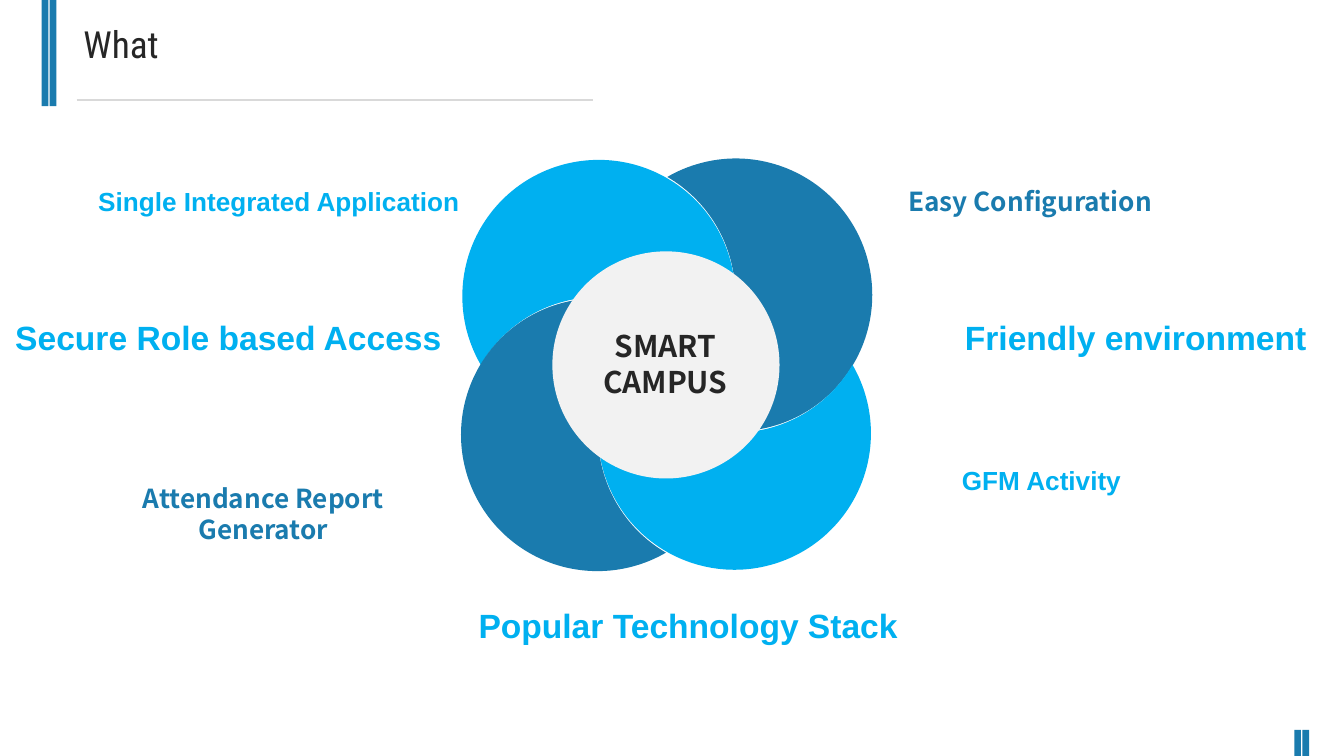
from dataclasses import dataclass
from math import acos, cos, degrees, radians, sin

from lxml.etree import SubElement
from pptx import Presentation
from pptx.dml.color import RGBColor
from pptx.enum.shapes import MSO_CONNECTOR, MSO_SHAPE
from pptx.enum.text import MSO_ANCHOR, PP_ALIGN
from pptx.oxml.ns import qn
from pptx.util import Inches, Pt


@dataclass(frozen=True)
class Theme:
    dark_blue: str = "1A7BAE"
    light_blue: str = "00B0F0"
    ink: str = "262626"
    rule: str = "D9D9D9"
    hub: str = "F2F2F2"
    heading_font: str = "Roboto Condensed"
    label_font: str = "Arial"
    accent_font: str = "Noto Sans CJK SC"
    title_size: int = 20
    large_size: int = 18
    hub_size: int = 16
    label_size: int = 14


THEME = Theme()
COLUMNS, ROWS = 100, 56.25  # square grid cells
CELL = Inches(10) / COLUMNS

TITLE = ("What", (5.2, 1.1, 42.3, 4.4))

SMALL = (THEME.label_font, THEME.label_size, THEME.light_blue)
LARGE = (THEME.label_font, THEME.large_size, THEME.light_blue)
ACCENT = (THEME.accent_font, THEME.label_size, THEME.dark_blue)
HUB = (THEME.accent_font, THEME.hub_size, THEME.ink)

# text, (left, top, width, height) in grid cells, style, alignment, wrap
LABELS = [
    ("SMART CAMPUS", (41.1, 23.9, 16.8, 6.4), HUB, PP_ALIGN.CENTER, True),
    ("Single Integrated Application", (6.2, 13.3, 29.1, 3.4), SMALL, PP_ALIGN.CENTER, True),
    ("Attendance Report Generator", (7.3, 35.4, 24.6, 5.7), ACCENT, PP_ALIGN.CENTER, True),
    ("Easy Configuration", (65.9, 13.3, 20.8, 3.4), ACCENT, PP_ALIGN.RIGHT, True),
    ("GFM Activity", (69.1, 34.1, 15.3, 3.4), SMALL, PP_ALIGN.RIGHT, True),
    ("Secure Role based Access", (0, 23.1, 34, 4), LARGE, PP_ALIGN.CENTER, False),
    ("Friendly environment", (68.9, 23.1, 29.3, 4), LARGE, PP_ALIGN.RIGHT, True),
    ("Popular Technology Stack", (34.3, 44.5, 33.5, 4), LARGE, PP_ALIGN.RIGHT, False),
]

BARS = [(left, 0, 7.9) for left in (3.1, 3.7)] + [(left, 54.3, 1.95) for left in (96.9, 96.3)]
BAR_WIDTH = 0.5

PETAL_SIZE = 20.3
PETAL_SPACING = 10.2
PETAL_TURN = 45
HUB_BOX = (41.1, 18.7, 16.9, 16.9)
# left, top, direction of the petal lying on top (clockwise degrees), colour
PETALS = [
    (44.6, 11.8, 180, THEME.dark_blue),
    (34.4, 11.9, 90, THEME.light_blue),
    (44.5, 22.1, 270, THEME.light_blue),
    (34.3, 22.2, 0, THEME.dark_blue),
]


def cells(*values):
    return [round(value * CELL) for value in values]


def color(value):
    return RGBColor.from_string(value)


def paint(shape, fill):
    shape.shadow.inherit = False
    shape.fill.solid()
    shape.fill.fore_color.rgb = color(fill)
    shape.line.fill.background()


def write(shape, text, style, alignment, wrap=True, bold=True):
    font_name, size, ink = style
    frame = shape.text_frame
    frame.text = text
    frame.word_wrap = wrap
    frame.vertical_anchor = MSO_ANCHOR.TOP
    paragraph = frame.paragraphs[0]
    paragraph.alignment = alignment
    font = paragraph.runs[0].font
    font.name, font.size, font.bold = font_name, Pt(size), bold
    font.color.rgb = color(ink)


def add_arc(outline, radius, start, sweep):
    arc = SubElement(outline, qn("a:arcTo"), wR=str(radius), hR=str(radius))
    arc.set("stAng", str(round(start % 360 * 60000)))
    arc.set("swAng", str(round(sweep * 60000)))


def add_petal(slide, left, top, direction, fill):
    """A disc with the part under its neighbour cut away by a second arc."""
    right, bottom = left + PETAL_SIZE, top + PETAL_SIZE
    builder = slide.shapes.build_freeform(*cells(left, top))
    corners = [cells(right, top), cells(right, bottom), cells(left, bottom)]
    builder.add_line_segments(corners, close=True)
    petal = builder.convert_to_shape()
    petal.rotation = PETAL_TURN
    paint(petal, fill)

    radius = petal.width // 2
    bite = degrees(acos(PETAL_SPACING / PETAL_SIZE))
    facing = direction - PETAL_TURN
    start = facing + bite
    outline = next(petal._element.iter(qn("a:path")))
    for segment in list(outline):
        outline.remove(segment)
    move = SubElement(outline, qn("a:moveTo"))
    x, y = (round(radius * (1 + ratio(radians(start)))) for ratio in (cos, sin))
    SubElement(move, qn("a:pt"), x=str(x), y=str(y))
    add_arc(outline, radius, start, 360 - 2 * bite)
    add_arc(outline, radius, facing + 180 + bite, -2 * bite)
    SubElement(outline, qn("a:close"))


def add_frame(slide):
    for left, top, height in BARS:
        bar = slide.shapes.add_shape(MSO_SHAPE.RECTANGLE, *cells(left, top, BAR_WIDTH, height))
        paint(bar, THEME.dark_blue)
    rule = slide.shapes.add_connector(MSO_CONNECTOR.STRAIGHT, *cells(5.7, 7.45, 44.1, 7.45))
    rule.line.color.rgb = color(THEME.rule)
    rule.line.width = Pt(0.75)
    SubElement(rule._element.spPr, qn("a:effectLst"))

    text, box = TITLE
    title = slide.shapes.title
    title.left, title.top, title.width, title.height = cells(*box)
    style = (THEME.heading_font, THEME.title_size, THEME.ink)
    write(title, text, style, PP_ALIGN.LEFT, bold=False)


def main():
    presentation = Presentation()
    presentation.slide_width, presentation.slide_height = cells(COLUMNS, ROWS)
    slide = presentation.slides.add_slide(presentation.slide_layouts[5])
    add_frame(slide)
    for petal in PETALS:
        add_petal(slide, *petal)
    paint(slide.shapes.add_shape(MSO_SHAPE.OVAL, *cells(*HUB_BOX)), THEME.hub)
    for text, box, style, alignment, wrap in LABELS:
        write(slide.shapes.add_textbox(*cells(*box)), text, style, alignment, wrap)
    presentation.save("out.pptx")


if __name__ == "__main__":
    main()
